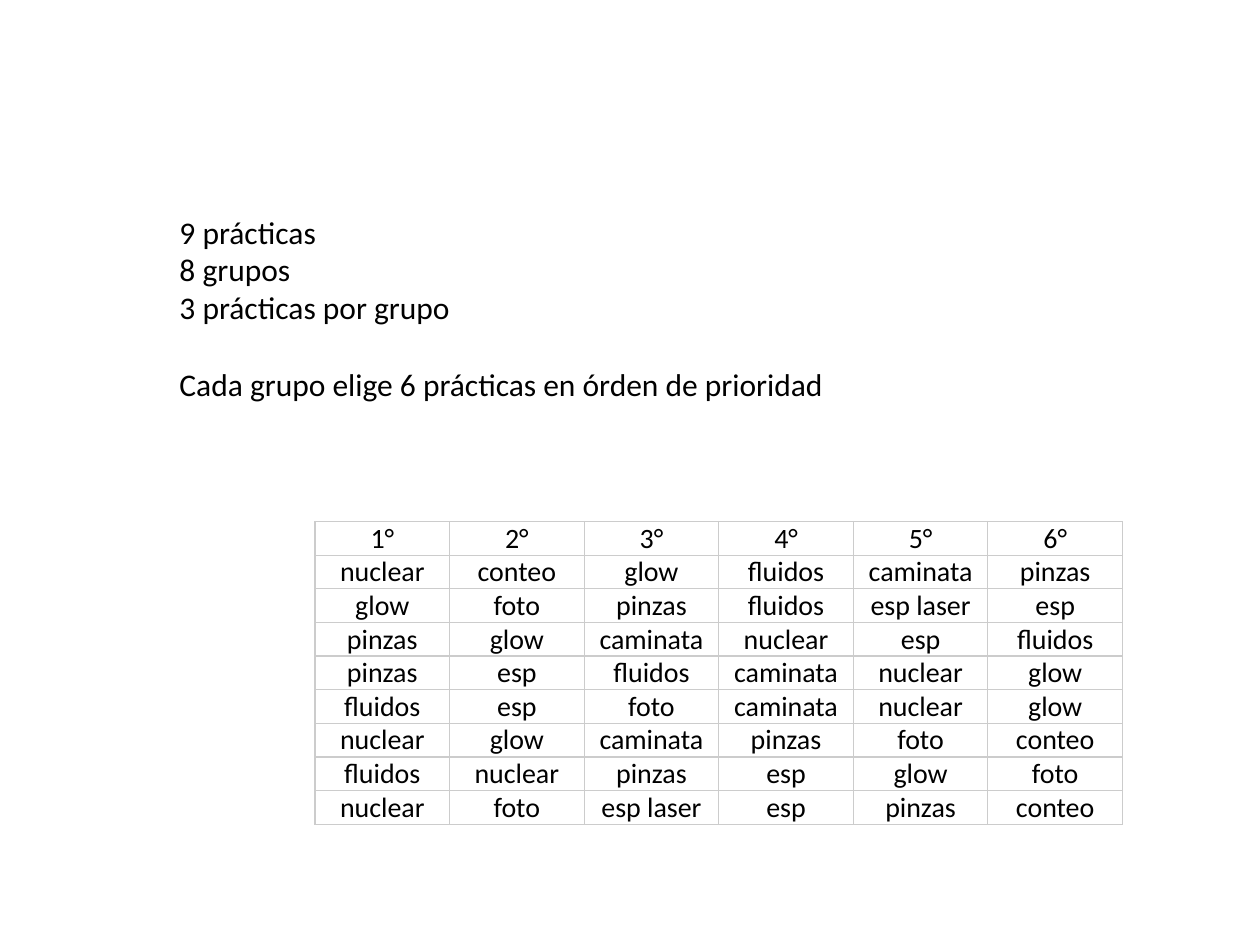
from lxml import etree
from pptx import Presentation
from pptx.dml.color import RGBColor
from pptx.enum.text import MSO_ANCHOR, PP_ALIGN
from pptx.oxml.ns import qn
from pptx.util import Pt

CENTER = PP_ALIGN.CENTER
BOTTOM = MSO_ANCHOR.BOTTOM
FONT = "Calibri"
COLORS = {"text": "000000", "border": "CCCCCC"}

SUMMARY = [
    "9 prácticas",
    "8 grupos",
    "3 prácticas por grupo",
    "Cada grupo elige 6 prácticas en órden de prioridad",
]
CHOICES = [
    ["1°", "2°", "3°", "4°", "5°", "6°"],
    ["nuclear", "conteo", "glow", "fluidos", "caminata", "pinzas"],
    ["glow", "foto", "pinzas", "fluidos", "esp laser", "esp"],
    ["pinzas", "glow", "caminata", "nuclear", "esp", "fluidos"],
    ["pinzas", "esp", "fluidos", "caminata", "nuclear", "glow"],
    ["fluidos", "esp", "foto", "caminata", "nuclear", "glow"],
    ["nuclear", "glow", "caminata", "pinzas", "foto", "conteo"],
    ["fluidos", "nuclear", "pinzas", "esp", "glow", "foto"],
    ["nuclear", "foto", "esp laser", "esp", "pinzas", "conteo"],
]


def format_runs(p, size):
    for r in p.runs:
        r.font.name = FONT
        r.font.size = Pt(size)
        r.font.bold = False
        r.font.color.rgb = RGBColor.from_string(COLORS["text"])


def add_borders(cell):
    tc_pr = cell._tc.get_or_add_tcPr()
    for side in ("a:lnL", "a:lnR", "a:lnT", "a:lnB"):
        ln = etree.SubElement(tc_pr, qn(side), w=str(Pt(0.75)))
        fill = etree.SubElement(ln, qn("a:solidFill"))
        etree.SubElement(fill, qn("a:srgbClr"), val=COLORS["border"])


def add_summary(s, left, top, width, height):
    tf = s.shapes.add_textbox(Pt(left), Pt(top), Pt(width), Pt(height)).text_frame
    tf.word_wrap = True
    tf.text = "\n".join(SUMMARY)
    for p in tf.paragraphs:
        format_runs(p, 18)
    tf.paragraphs[-1].space_before = Pt(22)


def add_choices(s, left, top, width, height):
    rows, cols = len(CHOICES), len(CHOICES[0])
    table = s.shapes.add_table(
        rows, cols, Pt(left), Pt(top), Pt(width), Pt(height)
    ).table
    table.first_row = False
    table.horz_banding = False
    for row, values in zip(table.rows, CHOICES):
        row.height = Pt(height / rows)
        for cell, value in zip(row.cells, values):
            cell.text = value
            cell.vertical_anchor = BOTTOM
            cell.margin_left = cell.margin_right = Pt(2)
            cell.margin_top = cell.margin_bottom = Pt(0)
            p = cell.text_frame.paragraphs[0]
            p.alignment = CENTER
            format_runs(p, 16)
            add_borders(cell)
            cell.fill.background()


def main():
    prs = Presentation()
    prs.slide_width, prs.slide_height = Pt(720), Pt(540)
    s = prs.slides.add_slide(prs.slide_layouts[6])
    add_summary(s, 95.5, 118, 410.5, 116.5)
    add_choices(s, 180, 298, 461.5, 172.8)
    prs.save("out.pptx")


if __name__ == "__main__":
    main()
